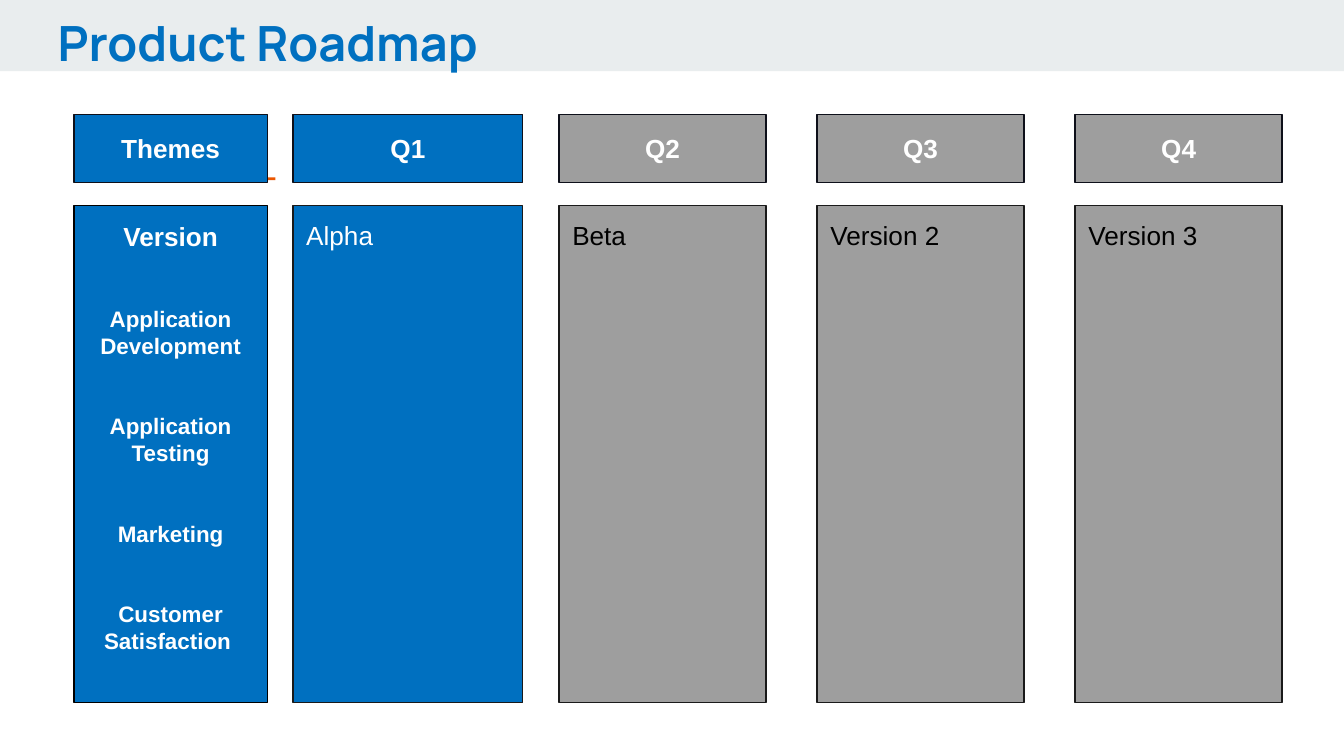
from pptx import Presentation, util as u
from pptx.dml.color import RGBColor
from pptx.enum import shapes, text

BLUE, GRAY, WHITE, BLACK = "0070C0", "9E9E9E", "FFFFFF", "000000"

presentation = Presentation()
presentation.slide_width = u.Inches(10)
presentation.slide_height = presentation.slide_width * 9 // 16
slide = presentation.slides.add_slide(presentation.slide_layouts[6])


def add_box(left, top, width, height, fill, line=None):
    """Add a rectangle, in inches, with an optional thin outline."""
    shape = slide.shapes.add_shape(
        shapes.MSO_SHAPE.RECTANGLE, *map(u.Inches, (left, top, width, height)))
    shape.shadow.inherit = False
    shape.fill.solid()
    shape.fill.fore_color.rgb = RGBColor.from_string(fill)
    if line:
        shape.line.color.rgb = RGBColor.from_string(line)
        shape.line.width = u.Pt(0.75)
    else:
        shape.line.fill.background()
    return shape


def write(shape, lines, color, bold, align, anchor, inset=0.1, font="Arial"):
    """Fill a shape with one paragraph per (words, size, space before) line."""
    frame = shape.text_frame
    frame.word_wrap = True
    frame.vertical_anchor = anchor
    frame.margin_left = frame.margin_right = frame.margin_bottom = u.Inches(0.1)
    frame.margin_top = u.Inches(inset)
    for index, (words, size, space) in enumerate(lines):
        paragraph = frame.add_paragraph() if index else frame.paragraphs[0]
        paragraph.alignment = align
        if space:
            paragraph.space_before = u.Pt(space)
        run = paragraph.add_run()
        run.text = words
        run.font.name, run.font.size, run.font.bold = font, u.Pt(size), bold
        run.font.color.rgb = RGBColor.from_string(color)


LEFT, CENTER = text.PP_ALIGN.LEFT, text.PP_ALIGN.CENTER
TOP, MIDDLE = text.MSO_ANCHOR.TOP, text.MSO_ANCHOR.MIDDLE

# Title band and accent
add_box(0, 0, 10, 0.53, "E9EDEE")
add_box(1.64, 1.32, 0.41, 0.02, "EB5600")
title = slide.shapes.add_textbox(*map(u.Inches, (0.33, 0, 8.41, 0.59)))
write(title, [("Product Roadmap", 26, 0)], BLUE, True, LEFT, TOP, font="Manrope")

# Roadmap grid: a header row above a body row
HEADER_TOP, HEADER_HEIGHT = 0.85, 0.51
BODY_TOP, BODY_HEIGHT = 1.53, 3.7
QUARTER_LEFT, QUARTER_WIDTH, QUARTER_STEP = 4.16, 1.54, 1.92
GAP = 28.7
themes = [
    ("Version", 14, 0),
    ("Application Development", 12, GAP),
    ("Application Testing", 12, GAP),
    ("Marketing", 12, GAP),
    ("Customer", 12, GAP),
    ("Satisfaction ", 12, 0),
]
columns = [
    ("Themes", themes, 0.55, 1.44, BLUE, WHITE),
    ("Q1", "Alpha", 2.18, 1.71, BLUE, WHITE),
]
for index, release in enumerate(("Beta", "Version 2", "Version 3")):
    columns.append((f"Q{index + 2}", release, QUARTER_LEFT + index * QUARTER_STEP,
                    QUARTER_WIDTH, GRAY, BLACK))

for heading, content, left, width, fill, color in columns:
    header = add_box(left, HEADER_TOP, width, HEADER_HEIGHT, fill, "0E101A")
    write(header, [(heading, 14, 0)], WHITE, True, CENTER, MIDDLE)
    is_themes = content is themes
    body = add_box(left, BODY_TOP, width, BODY_HEIGHT, fill, BLACK if is_themes else "1A1A1A")
    if is_themes:
        write(body, themes, color, True, CENTER, TOP, inset=0.11)
    else:
        write(body, [(content, 14, 0)], color, False, LEFT, TOP)

presentation.save("out.pptx")
